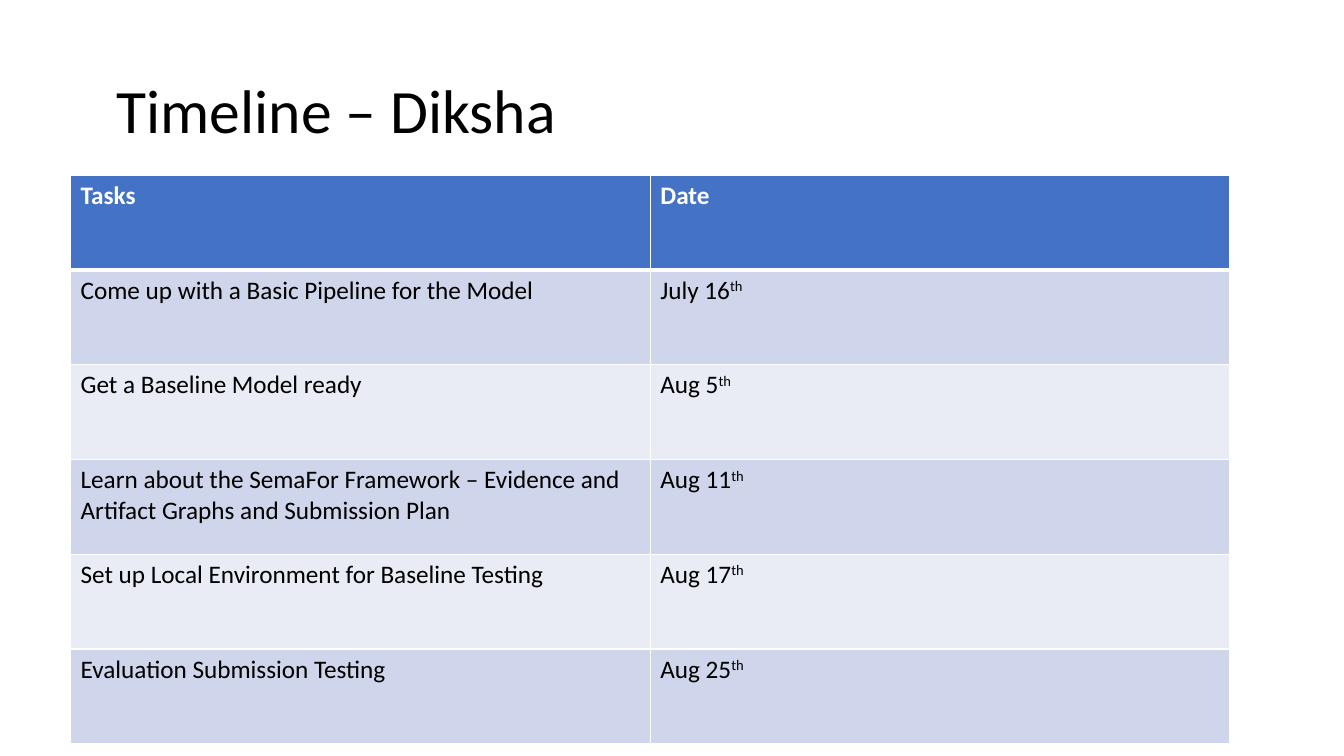
from lxml import etree
from pptx import Presentation
from pptx.dml.color import RGBColor
from pptx.enum.text import MSO_ANCHOR
from pptx.oxml.ns import qn
from pptx.util import Pt

MIDDLE = MSO_ANCHOR.MIDDLE
PX = 9144
FONT = "Calibri"
COLORS = {
    "text": "000000",
    "white": "FFFFFF",
    "header": "4472C4",
    "odd": "CFD5EA",
    "even": "E9EBF5",
}
HEADINGS = ("Tasks", "Date")
TASKS = [
    ("Come up with a Basic Pipeline for the Model", "July 16"),
    ("Get a Baseline Model ready", "Aug 5"),
    ("Learn about the SemaFor Framework – Evidence and Artifact Graphs and Submission Plan", "Aug 11"),
    ("Set up Local Environment for Baseline Testing", "Aug 17"),
    ("Evaluation Submission Testing", "Aug 25"),
]


class SlideBuilder:
    def __init__(self, slide):
        self.slide = slide

    def run(self, paragraph, text, size, color="text", bold=False, superscript=False):
        run = paragraph.add_run()
        run.text = text
        run.font.name = FONT
        run.font.size = Pt(size)
        run.font.bold = bold
        run.font.color.rgb = RGBColor.from_string(COLORS[color])
        if superscript:
            run.font._element.set("baseline", "30000")

    def title(self, text, left, top, width, height):
        shape = self.slide.shapes.add_textbox(left * PX, top * PX, width * PX, height * PX)
        frame = shape.text_frame
        frame.word_wrap = True
        frame.vertical_anchor = MIDDLE
        paragraph = frame.paragraphs[0]
        paragraph.line_spacing = 0.9
        self.run(paragraph, text, 44)

    def borders(self, cell, top, bottom):
        properties = cell._tc.get_or_add_tcPr()
        widths = {"lnL": 1, "lnR": 1, "lnT": top, "lnB": bottom}
        for index, (side, width) in enumerate(widths.items()):
            line = etree.Element(qn(f"a:{side}"), w=str(Pt(width)))
            fill = etree.SubElement(line, qn("a:solidFill"))
            etree.SubElement(fill, qn("a:srgbClr"), val=COLORS["white"])
            properties.insert(index, line)

    def cell(self, cell, runs, fill, top=1, bottom=1):
        cell.fill.solid()
        cell.fill.fore_color.rgb = RGBColor.from_string(COLORS[fill])
        self.borders(cell, top, bottom)
        paragraph = cell.text_frame.paragraphs[0]
        header = fill == "header"
        for index, text in enumerate(runs):
            self.run(paragraph, text, 18, "white" if header else "text", header, index > 0)

    def timeline(self, headings, tasks, left, top, width, row_height):
        rows = len(tasks) + 1
        frame = self.slide.shapes.add_table(
            rows, len(headings), left * PX, top * PX, width * PX, rows * row_height * PX
        )
        table = frame.table
        for column, heading in enumerate(headings):
            self.cell(table.cell(0, column), [heading], "header", bottom=3)
        for row, (task, date) in enumerate(tasks, 1):
            fill = "odd" if row % 2 else "even"
            line_above = 3 if row == 1 else 1
            self.cell(table.cell(row, 0), [task], fill, top=line_above)
            self.cell(table.cell(row, 1), [date, "th"], fill, top=line_above)


def main():
    presentation = Presentation()
    presentation.slide_width = 1333 * PX
    presentation.slide_height = 750 * PX
    slide = presentation.slides.add_slide(presentation.slide_layouts[6])
    builder = SlideBuilder(slide)
    builder.title(" Timeline – Diksha", 92, 40, 1150, 145)
    builder.timeline(HEADINGS, TASKS, 70, 174, 1150, 94)
    presentation.save("out.pptx")


if __name__ == "__main__":
    main()
